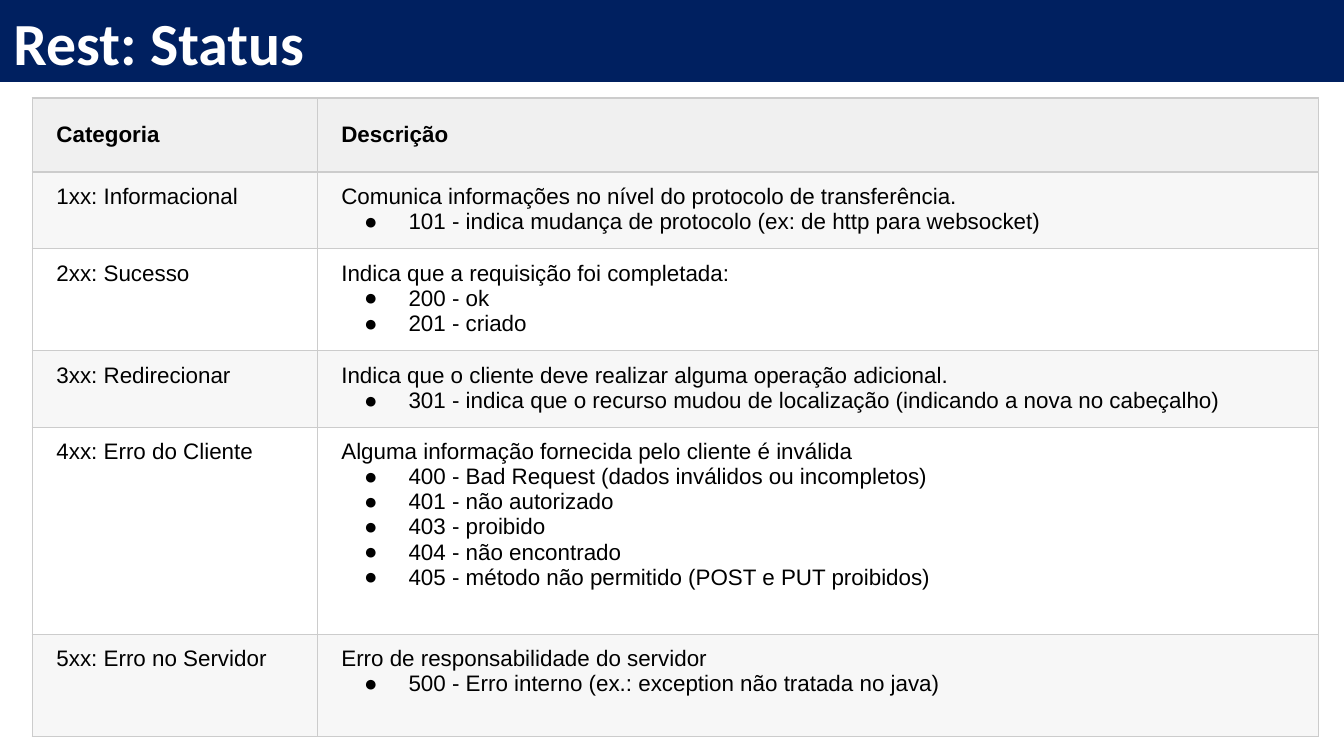
from lxml import etree
from pptx import Presentation
from pptx import util as u
from pptx.dml.color import RGBColor
from pptx.enum import shapes, text
from pptx.oxml import ns

COLORS = {
    "band": "002060",
    "title": "FFFFFF",
    "text": "000000",
    "border": "CCCCCC",
    "header": "F0F0F0",
    "stripe": "F7F7F7",
}
ROWS = [
    (0.55, "Categoria", ["Descrição"]),
    (0.57, "1xx: Informacional", [
        "Comunica informações no nível do protocolo de transferência.",
        "101 - indica mudança de protocolo (ex: de http para websocket)",
    ]),
    (0.76, "2xx: Sucesso", [
        "Indica que a requisição foi completada:",
        "200 - ok",
        "201 - criado",
    ]),
    (0.57, "3xx: Redirecionar", [
        "Indica que o cliente deve realizar alguma operação adicional.",
        "301 - indica que o recurso mudou de localização (indicando a nova no cabeçalho)",
    ]),
    (1.54, "4xx: Erro do Cliente", [
        "Alguma informação fornecida pelo cliente é inválida",
        "400 - Bad Request (dados inválidos ou incompletos)",
        "401 - não autorizado",
        "403 - proibido",
        "404 - não encontrado",
        "405 - método não permitido (POST e PUT proibidos)",
    ]),
    (0.76, "5xx: Erro no Servidor", [
        "Erro de responsabilidade do servidor",
        "500 - Erro interno (ex.: exception não tratada no java)",
    ]),
]
COLUMN_WIDTHS = [2.12, 7.45]


def add_color(parent, color):
    etree.SubElement(parent, ns.qn("a:srgbClr"), val=COLORS[color])


def style_span(span, font, size, color, bold):
    span.font.name = font
    span.font.size = u.Pt(size)
    span.font.bold = bold
    span.font.color.rgb = RGBColor.from_string(COLORS[color])


deck = Presentation()
deck.slide_width = u.Inches(10)
deck.slide_height = deck.slide_width * 9 // 16
page = deck.slides.add_slide(deck.slide_layouts[5])

band = page.shapes.add_shape(
    shapes.MSO_SHAPE.RECTANGLE,
    u.Inches(-0.01), u.Inches(-0.01), u.Inches(10.02), u.Inches(0.62))
band.shadow.inherit = False
band.fill.solid()
band.fill.fore_color.rgb = RGBColor.from_string(COLORS["band"])
band.line.fill.background()
page.shapes._spTree.insert(2, band._element)

title = page.shapes.title
title.left, title.top = u.Inches(0), u.Inches(-0.06)
title.width, title.height = u.Inches(5.26), u.Inches(0.54)
frame = title.text_frame
frame.text = "Rest: Status"
frame.word_wrap = True
frame.auto_size = text.MSO_AUTO_SIZE.NONE
frame.vertical_anchor = text.MSO_ANCHOR.TOP
frame.margin_left = frame.margin_right = u.Inches(0.1)
frame.margin_top = frame.margin_bottom = u.Inches(0.1)
frame.paragraphs[0].alignment = text.PP_ALIGN.LEFT
style_span(frame.paragraphs[0].runs[0], "Calibri", 32, "title", True)

table = page.shapes.add_table(
    len(ROWS), len(COLUMN_WIDTHS), u.Inches(0.24), u.Inches(0.73),
    u.Inches(sum(COLUMN_WIDTHS)), u.Inches(sum(row[0] for row in ROWS))).table
table.first_row = False
table.horz_banding = False
for column, width in zip(table.columns, COLUMN_WIDTHS):
    column.width = u.Inches(width)

for row_index, (height, category, description) in enumerate(ROWS):
    is_header = row_index == 0
    table.rows[row_index].height = u.Inches(height)
    for column_index, lines in enumerate([[category], description]):
        cell = table.cell(row_index, column_index)
        cell.margin_left = cell.margin_right = u.Inches(0.18)
        cell.margin_top = cell.margin_bottom = u.Inches(0.18 if is_header else 0.09)
        cell.vertical_anchor = text.MSO_ANCHOR.TOP

        if is_header or row_index % 2:
            cell.fill.solid()
            fill_name = "header" if is_header else "stripe"
            cell.fill.fore_color.rgb = RGBColor.from_string(COLORS[fill_name])
        else:
            cell.fill.background()

        properties = cell._tc.get_or_add_tcPr()
        for position, side in enumerate(["lnL", "lnR", "lnT", "lnB"]):
            border = etree.Element(ns.qn(f"a:{side}"), w=str(u.Pt(0.75)))
            add_color(etree.SubElement(border, ns.qn("a:solidFill")), "border")
            properties.insert(position, border)

        cell.text_frame.text = "\n".join(lines)
        for line_index, para in enumerate(cell.text_frame.paragraphs):
            if line_index > 0:
                layout = para._p.get_or_add_pPr()
                layout.set("marL", str(u.Inches(0.5)))
                layout.set("indent", str(u.Inches(-0.33)))
                add_color(etree.SubElement(layout, ns.qn("a:buClr")), "text")
                etree.SubElement(layout, ns.qn("a:buFont"), typeface="Arial")
                etree.SubElement(layout, ns.qn("a:buChar"), char="●")
            style_span(para.runs[0], "Arial", 12, "text", is_header)

deck.save("out.pptx")
